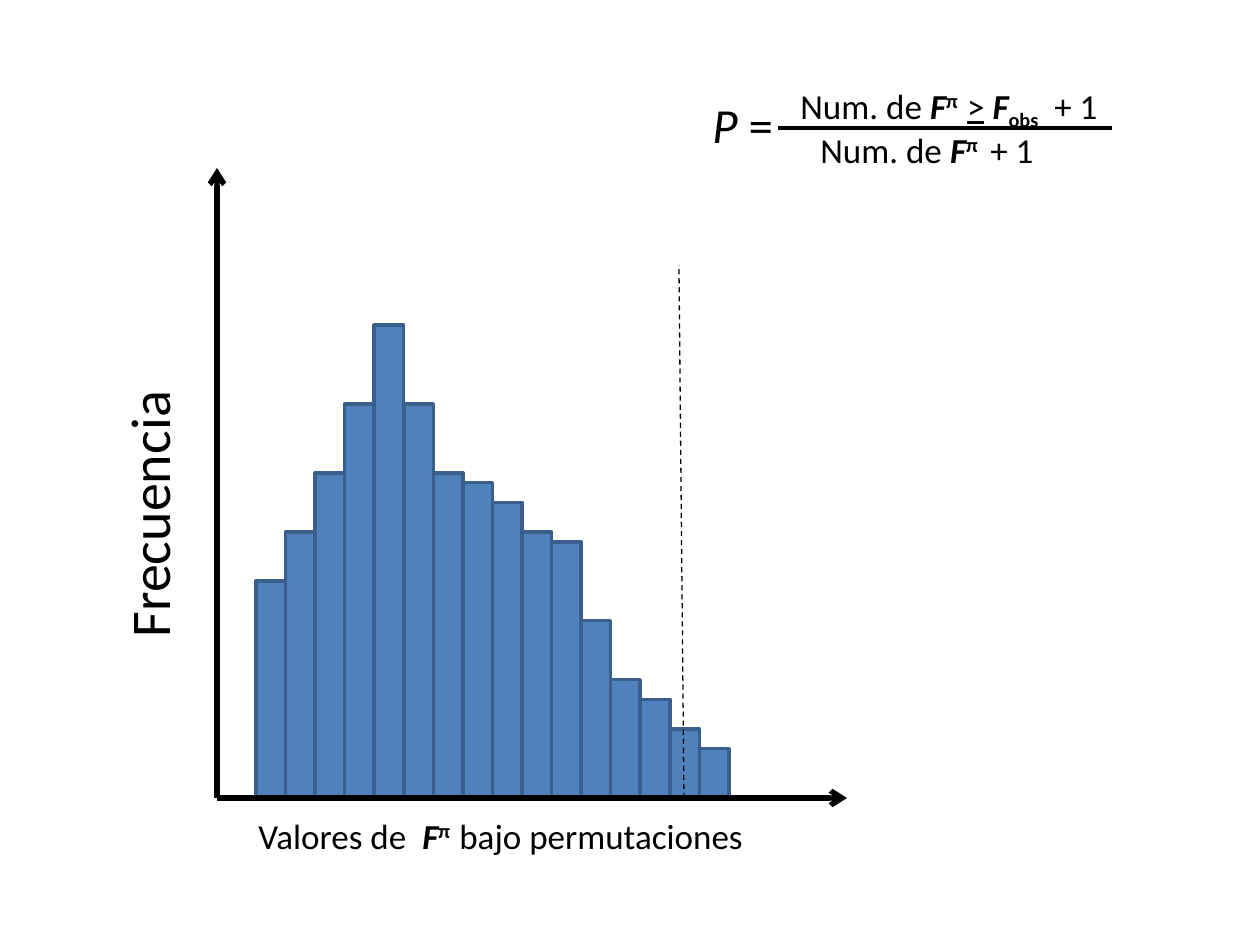
from pptx import Presentation
from pptx import util as u
from pptx.dml.color import RGBColor
from pptx.enum import dml, shapes, text
from pptx.oxml.ns import qn
from lxml import etree

PX_PER_INCH = 126
FONT = "Calibri"
BLACK, BAR_FILL, BAR_LINE = "000000", "4F81BD", "3A5F8C"

# Histogram: bar heights in steps, each bar three steps wide
FREQUENCIES = [22, 27, 33, 40, 48, 40, 33, 32, 30, 27, 26, 18, 12, 10, 7, 5]
STEP = 473 / 48
BAR_STEPS = 3
BARS_LEFT, BASELINE, AXIS_LEFT, AXIS_LENGTH = 256, 798, 217, 630

# Pieces of the formula: words and character style
F = ("F", {"bold": True, "italic": True})
PI = {"bold": True, "baseline": 30}


def px(length):
    return u.Emu(round(length * u.Inches(1) / PX_PER_INCH))


def color(hex_value):
    return RGBColor.from_string(hex_value)


def add_bar(parent, left, width, height):
    bar = parent.shapes.add_shape(shapes.MSO_SHAPE.RECTANGLE, px(left),
                                  px(BASELINE - height), px(width), px(height))
    bar.shadow.inherit = False
    bar.fill.solid()
    bar.fill.fore_color.rgb = color(BAR_FILL)
    bar.line.color.rgb = color(BAR_LINE)
    bar.line.width = u.Pt(2)


def add_line(parent, start, end, width, arrow=False, dashed=False):
    line = parent.shapes.add_connector(shapes.MSO_CONNECTOR.STRAIGHT,
                                       *map(px, start + end))
    line.line.color.rgb = color(BLACK)
    line.line.width = u.Pt(width)
    if dashed:
        line.line.dash_style = dml.MSO_LINE.DASH
    if arrow:
        etree.SubElement(line.line._get_or_add_ln(), qn("a:tailEnd"), type="arrow")
    etree.SubElement(line._element.spPr, qn("a:effectLst"))


def add_text(parent, box, size, runs, upward=False):
    frame = parent.shapes.add_textbox(*map(px, box)).text_frame
    frame.word_wrap = True
    frame.auto_size = text.MSO_AUTO_SIZE.SHAPE_TO_FIT_TEXT
    if upward:
        frame._txBody.bodyPr.set("vert", "vert270")
    for words, style in runs:
        run = frame.paragraphs[0].add_run()
        run.text = words
        font = run.font
        font.name, font.size = FONT, u.Pt(size)
        font.color.rgb = color(BLACK)
        font.bold = style.get("bold", False)
        font.italic = style.get("italic", False)
        font.underline = style.get("underline", False)
        if "baseline" in style:
            run._r.get_or_add_rPr().set("baseline", str(style["baseline"] * 1000))


def add_histogram(slide):
    group = slide.shapes.add_group_shape()
    bar_width = BAR_STEPS * STEP
    for i, frequency in enumerate(FREQUENCIES):
        add_bar(group, BARS_LEFT + i * bar_width, bar_width, frequency * STEP)

    # Axes and their titles
    origin = (AXIS_LEFT, BASELINE)
    add_line(group, origin, (AXIS_LEFT, BASELINE - AXIS_LENGTH), 3, arrow=True)
    add_line(group, origin, (AXIS_LEFT + AXIS_LENGTH, BASELINE), 3, arrow=True)
    add_text(group, (246, 808, 571, 55), 20,
             [("Valores de  ", {}), F, ("π  ", PI), ("bajo permutaciones", {})])
    add_text(group, (108, 286, 93, 364), 32, [("Frecuencia", {})], upward=True)


def add_formula(slide):
    group = slide.shapes.add_group_shape()
    # Numerator, denominator, fraction bar, left-hand side
    add_text(group, (788, 78, 335, 55), 20,
             [("Num. de ", {}), F, ("π  ", PI), (">", {"underline": True}), (" ", {}),
              F, ("obs", {"bold": True, "baseline": -25}), ("  + 1", {})])
    add_text(group, (808, 122, 305, 55), 20,
             [("Num. de ", {}), F, ("π ", PI), (" + 1", {})])
    add_line(group, (778, 128), (1112, 128), 2)
    add_text(group, (700, 88, 158, 72), 28, [("P", {"italic": True}), (" =", {})])


def main():
    deck = Presentation()
    deck.slide_width, deck.slide_height = px(1260), px(945)
    slide = deck.slides.add_slide(deck.slide_layouts[6])
    add_histogram(slide)
    add_formula(slide)
    # Observed value
    add_line(slide, (684, BASELINE), (679, 265), 0.75, dashed=True)
    deck.save("out.pptx")


if __name__ == "__main__":
    main()
